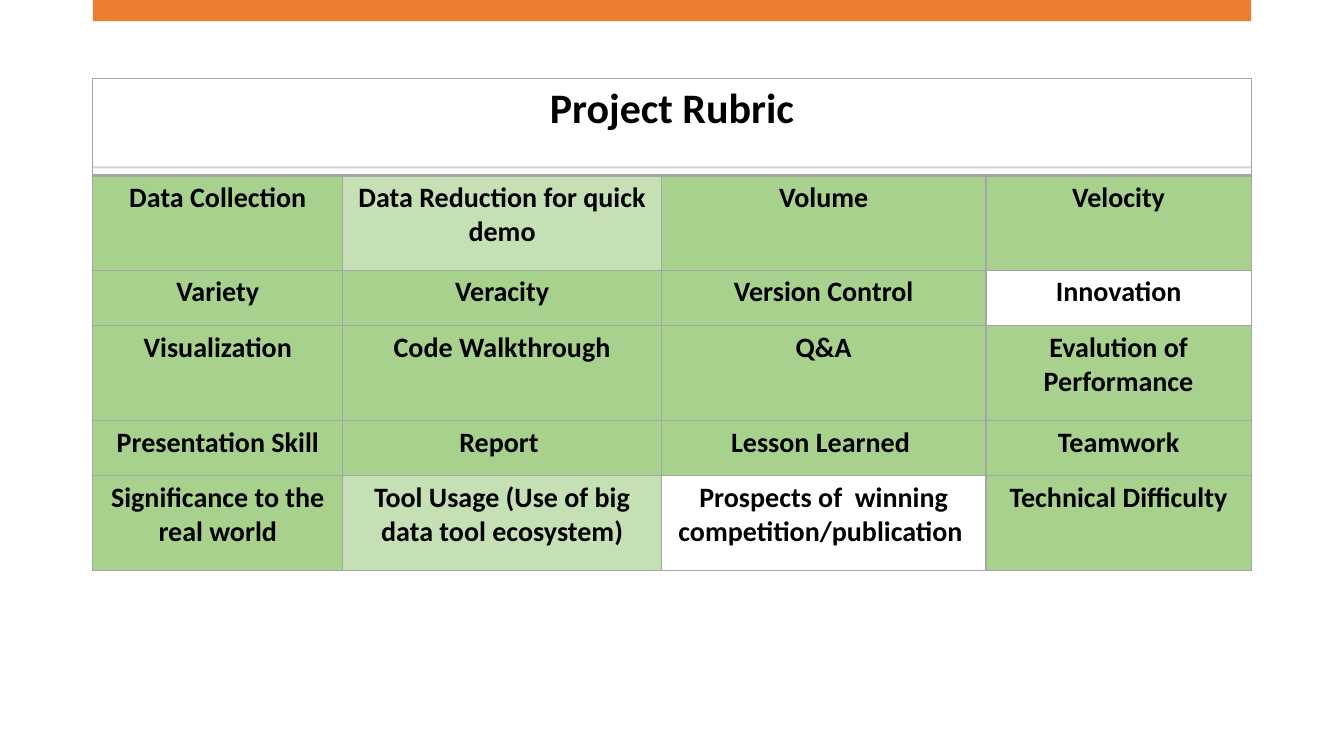
"""Builds the project rubric slide: an accent bar, a thin rule and a coloured table."""
from lxml.etree import SubElement
from pptx import Presentation
from pptx.dml.color import RGBColor as Rgb
from pptx.enum.shapes import MSO_SHAPE as Shape
from pptx.enum.text import PP_ALIGN as Align
from pptx.oxml.ns import qn
from pptx.util import Inches, Pt

COLOURS = {
    "accent": "ED7D31", "rule": "D5D5D5", "border": "A5A5A5", "text": "000000",
    "full": "A9D18E", "partial": "C5E0B4", "open": "FFFFFF",
}
LEFT, WIDTH, TABLE_TOP = 0.92, 11.49, 0.78
COLUMNS = [2.48, 3.16, 3.22, 2.63]
TITLE_HEIGHT, TALL, SHORT = 0.96, 0.94, 0.55
ROWS = [TITLE_HEIGHT, TALL, SHORT, TALL, SHORT, TALL]
CRITERIA = [
    ["Data Collection", "Data Reduction for quick demo", "Volume", "Velocity"],
    ["Variety", "Veracity", "Version Control", "Innovation"],
    ["Visualization", "Code Walkthrough", "Q&A", "Evalution of Performance"],
    ["Presentation Skill", "Report ", "Lesson Learned ", "Teamwork"],
    ["Significance to the real world", "Tool Usage (Use of big data tool ecosystem)",
     "Prospects of  winning competition/publication ", "Technical Difficulty"],
]
STATUS = {(1, 1): "partial", (2, 3): "open", (5, 1): "partial", (5, 2): "open"}


def write_cell(cell, text, size):
    para = cell.text_frame.paragraphs[0]
    para.alignment = Align.CENTER
    span = para.add_run()
    span.text = text
    span.font.name = "Calibri"
    span.font.size = Pt(size)
    span.font.bold = True
    span.font.color.rgb = Rgb.from_string(COLOURS["text"])


def outline_cell(cell, bottom_width):
    properties = cell._tc.get_or_add_tcPr()
    for side, width in (("L", 1), ("R", 1), ("T", 1), ("B", bottom_width)):
        line = SubElement(properties, qn(f"a:ln{side}"), w=str(Pt(width)))
        fill = SubElement(line, qn("a:solidFill"))
        SubElement(fill, qn("a:srgbClr"), val=COLOURS["border"])


deck = Presentation()
deck.slide_width, deck.slide_height = Inches(13.33), Inches(7.5)
page = deck.slides.add_slide(deck.slide_layouts[6])

for top, height, colour in ((0, 0.21, "accent"), (1.65, 0.02, "rule")):
    bar = page.shapes.add_shape(
        Shape.RECTANGLE, Inches(LEFT), Inches(top), Inches(WIDTH), Inches(height))
    bar.shadow.inherit = False
    bar.fill.solid()
    bar.fill.fore_color.rgb = Rgb.from_string(COLOURS[colour])
    bar.line.fill.background()

rubric = page.shapes.add_table(
    len(ROWS), len(COLUMNS), Inches(LEFT), Inches(TABLE_TOP),
    Inches(WIDTH), Inches(sum(ROWS))).table
rubric.first_row = False
rubric.horz_banding = False
for column, width in zip(rubric.columns, COLUMNS):
    column.width = Inches(width)
for row, height in zip(rubric.rows, ROWS):
    row.height = Inches(height)

for row_index in range(len(ROWS)):
    for column_index in range(len(COLUMNS)):
        cell = rubric.cell(row_index, column_index)
        cell.margin_left = cell.margin_right = Inches(0.11)
        cell.margin_top = cell.margin_bottom = Inches(0.05)
        outline_cell(cell, 1 if row_index else 2)
        if row_index == 0:
            cell.fill.background()
            continue
        status = STATUS.get((row_index, column_index), "full")
        cell.fill.solid()
        cell.fill.fore_color.rgb = Rgb.from_string(COLOURS[status])
        write_cell(cell, CRITERIA[row_index - 1][column_index], 20)

title_cell = rubric.cell(0, 0)
title_cell.merge(rubric.cell(0, len(COLUMNS) - 1))
write_cell(title_cell, "Project Rubric", 30)

deck.save("out.pptx")
